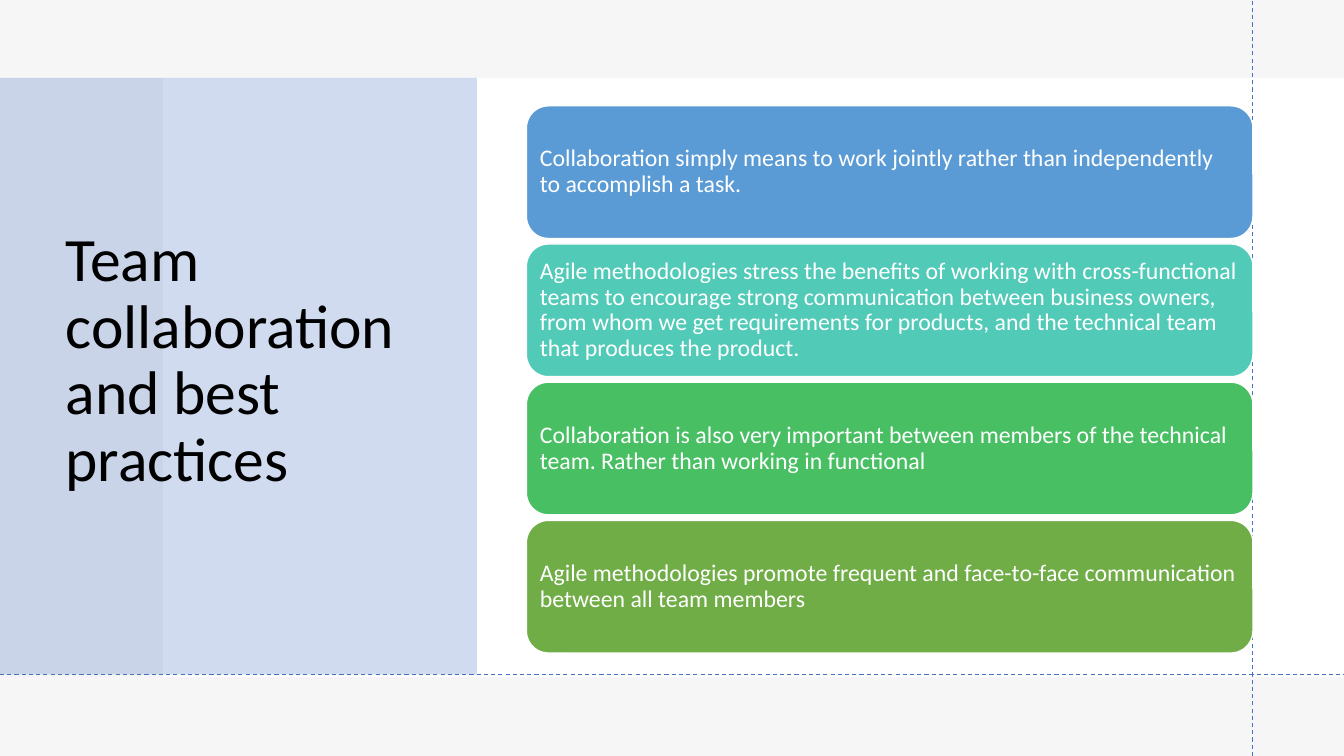
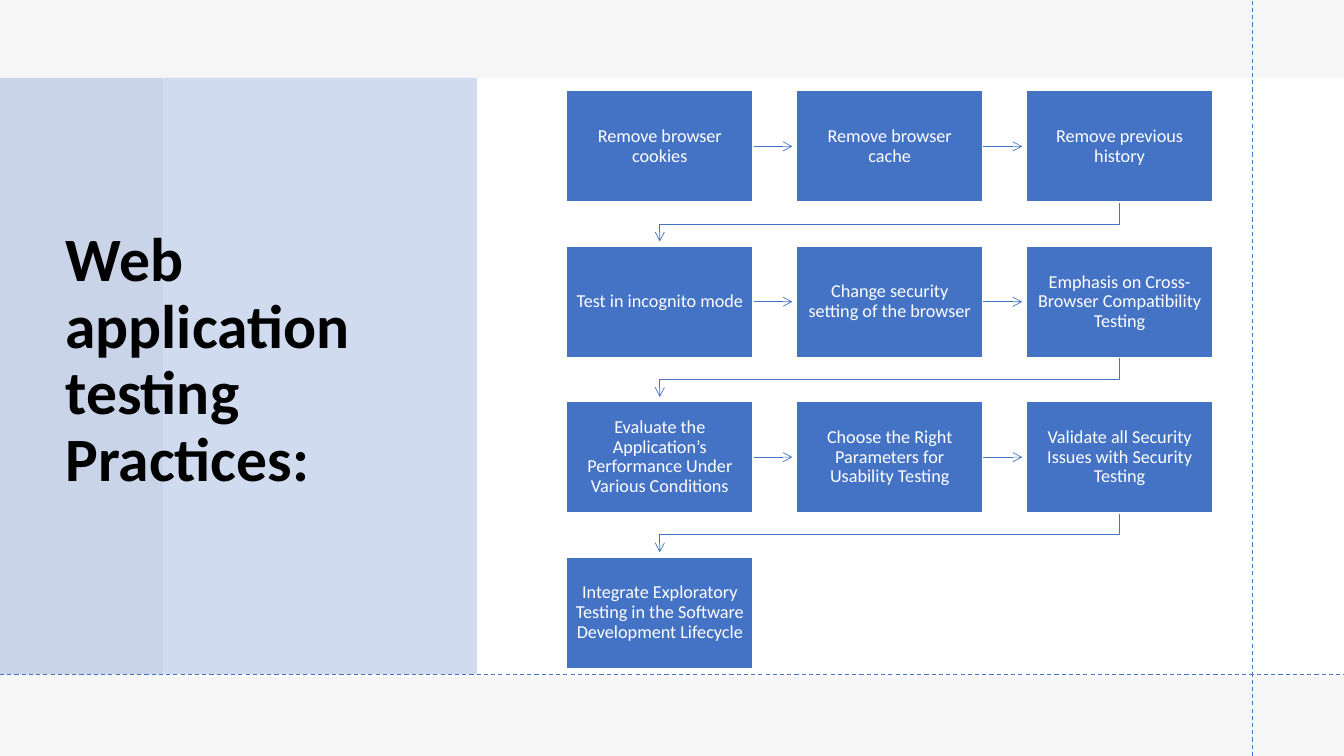
from lxml import etree
from pptx import Presentation
from pptx.dml.color import RGBColor
from pptx.enum.dml import MSO_LINE
from pptx.enum.shapes import MSO_CONNECTOR, MSO_SHAPE
from pptx.enum.text import MSO_ANCHOR, MSO_AUTO_SIZE, PP_ALIGN
from pptx.oxml.ns import qn
from pptx.util import Pt

RECTANGLE, ROUNDED = MSO_SHAPE.RECTANGLE, MSO_SHAPE.ROUNDED_RECTANGLE
STRAIGHT = MSO_CONNECTOR.STRAIGHT
LEFT, CENTER = PP_ALIGN.LEFT, PP_ALIGN.CENTER
MIDDLE = MSO_ANCHOR.MIDDLE
DASH = MSO_LINE.DASH
NO_AUTOFIT = MSO_AUTO_SIZE.NONE
rgb = RGBColor.from_string

FONT = "Calibri"
BLUE, WHITE, BLACK, PALE_GREY = "4472C4", "FFFFFF", "000000", "F6F6F6"
SLIDE_WIDTH, SLIDE_HEIGHT = 960, 540
GUIDE_X, GUIDE_Y = 895, 481.7


def add_box(page, kind, left, top, width, height, fill, outline=None):
    box = page.shapes.add_shape(kind, Pt(left), Pt(top), Pt(width), Pt(height))
    box.shadow.inherit = False
    box.fill.solid()
    box.fill.fore_color.rgb = rgb(fill)
    if outline:
        box.line.color.rgb = rgb(outline)
        box.line.width = Pt(1)
    else:
        box.line.fill.background()
    return box


def write(shape, text, size, color, align, margins=None, bold=False):
    frame = shape.text_frame
    frame.text = text
    frame.word_wrap = True
    frame.auto_size = NO_AUTOFIT
    frame.vertical_anchor = MIDDLE
    if margins:
        frame.margin_left = frame.margin_right = Pt(margins[0])
        frame.margin_top = frame.margin_bottom = Pt(margins[1])
    para = frame.paragraphs[0]
    para.alignment = align
    para.line_spacing = 0.9
    font = para.runs[0].font
    font.name, font.size, font.bold = FONT, Pt(size), bold
    font.color.rgb = rgb(color)


deck = Presentation()
deck.slide_width, deck.slide_height = Pt(SLIDE_WIDTH), Pt(SLIDE_HEIGHT)

# Shared frame: background, white band, tinted title panel, title, dashed guides
pages = []
for heading, bold in [
    ("Team collaboration and best practices", False),
    ("Web application testing Practices:", True),
]:
    page = deck.slides.add_slide(deck.slide_layouts[5])
    page.background.fill.solid()
    page.background.fill.fore_color.rgb = rgb(PALE_GREY)
    add_box(page, RECTANGLE, 116.4, 55.9, 843.6, 427.7, WHITE)
    panel = add_box(page, RECTANGLE, 0, 55.7, 340.6, 426, BLUE)
    tint = panel.element.spPr.find(qn("a:solidFill"))[0]
    etree.SubElement(tint, qn("a:alpha"), val="25000")

    title = page.shapes.title
    title.left, title.top = Pt(39.6), Pt(53.3)
    title.width, title.height = Pt(284.4), Pt(409.7)
    write(title, heading, 44, BLACK, LEFT, bold=bold)
    title.element.getparent().append(title.element)  # bring in front of the panel

    for ends in [
        (GUIDE_X, SLIDE_HEIGHT, GUIDE_X, 0),
        (0, GUIDE_Y, SLIDE_WIDTH, GUIDE_Y),
    ]:
        guide = page.shapes.add_connector(STRAIGHT, *[Pt(value) for value in ends])
        guide.line.color.rgb = rgb(BLUE)
        guide.line.width = Pt(0.75)
        guide.line.dash_style = DASH
        etree.SubElement(guide.element.spPr, qn("a:effectLst"))
    pages.append(page)

collaboration_page, testing_page = pages

# Slide 1: stacked cards
cards = [
    ("5B9BD5", "Collaboration simply means to work jointly rather than "
               "independently to accomplish a task."),
    ("52CAB8", "Agile methodologies stress the benefits of working with "
               "cross-functional teams to encourage strong communication between "
               "business owners, from whom we get requirements for products, and "
               "the technical team that produces the product."),
    ("49BF64", "Collaboration is also very important between members of the "
               "technical team. Rather than working in functional"),
    ("70AD47", "Agile methodologies promote frequent and face-to-face "
               "communication between all team members"),
]
for index, (color, text) in enumerate(cards):
    card = add_box(collaboration_page, ROUNDED, 376, 75.6 + index * 98.7,
                   519, 94.8, color, WHITE)
    write(card, text, 17, WHITE, LEFT, (5, 5))

# Slide 2: steps in rows of three, joined by arrows
steps = [
    "Remove browser cookies",
    "Remove browser cache",
    "Remove previous history",
    "Test in incognito mode",
    "Change security setting of the browser",
    "Emphasis on Cross-Browser Compatibility Testing",
    "Evaluate the Application’s Performance Under Various Conditions",
    "Choose the Right Parameters for Usability Testing",
    "Validate all Security Issues with Security Testing",
    "Integrate Exploratory Testing in the Software Development Lifecycle",
]
COLUMNS = 3
GRID_LEFT, GRID_TOP = 404.8, 64.8
STEP_WIDTH, STEP_HEIGHT = 133, 79.5
PITCH_X, PITCH_Y = 164.2, 111
ARROW_REACH = 28.2

for index, text in enumerate(steps):
    row, column = divmod(index, COLUMNS)
    left, top = GRID_LEFT + column * PITCH_X, GRID_TOP + row * PITCH_Y
    right, bottom = left + STEP_WIDTH, top + STEP_HEIGHT
    step = add_box(testing_page, RECTANGLE, left, top, STEP_WIDTH, STEP_HEIGHT,
                   BLUE, WHITE)
    write(step, text, 13, WHITE, CENTER, (6.5, 7))
    if index == len(steps) - 1:
        break

    if column < COLUMNS - 1:
        middle = top + STEP_HEIGHT / 2
        arrow = testing_page.shapes.add_connector(
            STRAIGHT, Pt(right + 0.5), Pt(middle), Pt(right + ARROW_REACH), Pt(middle))
    else:
        # Turn back to the first column of the next row
        start_x, end_x = left + STEP_WIDTH / 2, GRID_LEFT + STEP_WIDTH / 2
        turn_y = bottom + (PITCH_Y - STEP_HEIGHT) / 2
        outline = testing_page.shapes.build_freeform(Pt(start_x), Pt(bottom + 0.5))
        outline.add_line_segments(
            [(Pt(start_x), Pt(turn_y)), (Pt(end_x), Pt(turn_y)),
             (Pt(end_x), Pt(bottom + ARROW_REACH))], close=False)
        arrow = outline.convert_to_shape()
        arrow.fill.background()
    arrow.line.color.rgb = rgb(BLUE)
    arrow.line.width = Pt(0.5)
    properties = arrow.element.spPr
    etree.SubElement(properties.find(qn("a:ln")), qn("a:tailEnd"), type="arrow")
    etree.SubElement(properties, qn("a:effectLst"))

deck.save("out.pptx")
